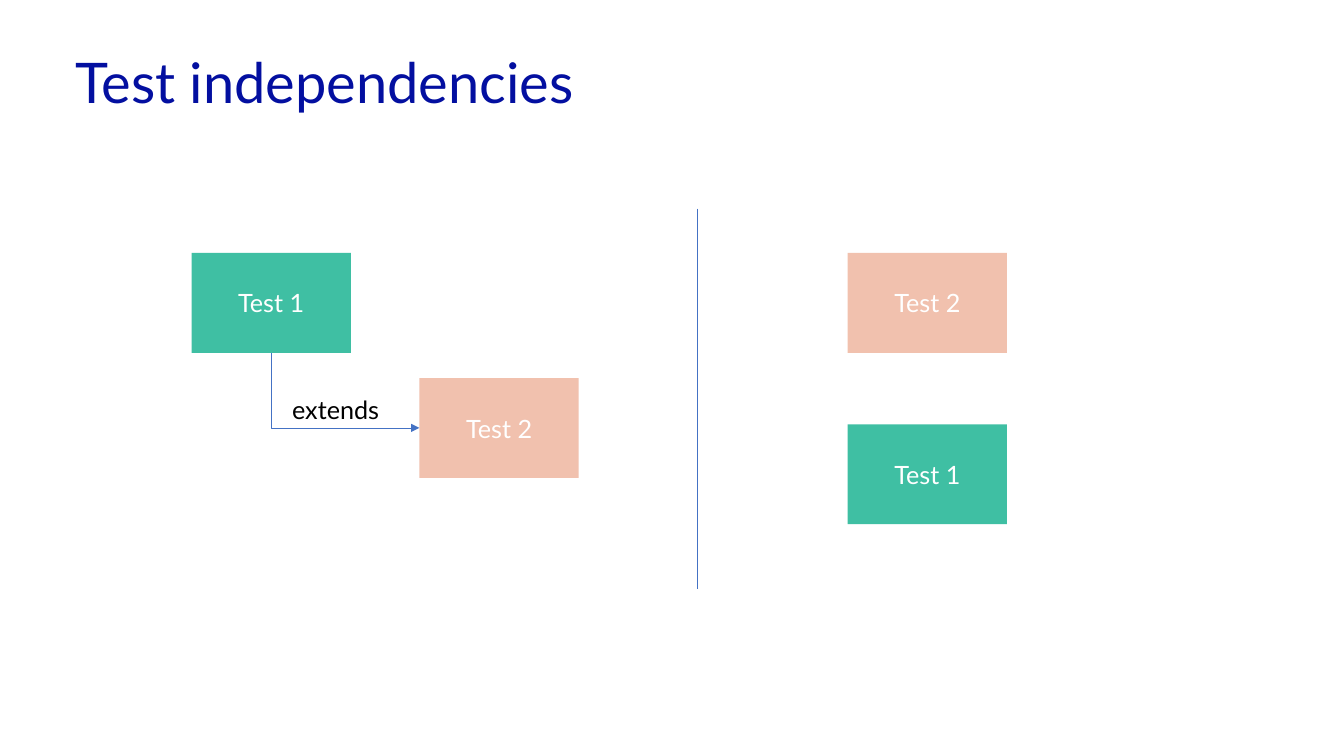
from lxml import etree
from pptx import Presentation
from pptx.dml.color import RGBColor
from pptx.enum.shapes import MSO_CONNECTOR as Connector, MSO_SHAPE as Shape
from pptx.enum.text import MSO_ANCHOR as Anchor, MSO_AUTO_SIZE as AutoSize, PP_ALIGN as Align
from pptx.oxml.ns import qn
from pptx.util import Pt

NAVY = RGBColor(0x03, 0x0F, 0xA0)
GREEN = RGBColor(0x3F, 0xBF, 0xA3)
PEACH = RGBColor(0xF1, 0xC1, 0xAE)
BLUE = RGBColor(0x44, 0x72, 0xC4)
WHITE = RGBColor(0xFF, 0xFF, 0xFF)
BLACK = RGBColor(0x00, 0x00, 0x00)

TEST_WIDTH, TEST_HEIGHT = 113.8, 71.3
TEST_COLORS = {"Test 1": GREEN, "Test 2": PEACH}
BOTTOM_SITE, LEFT_SITE = 2, 1


def place(shape, left, top, width, height):
    box = {"left": left, "top": top, "width": width, "height": height}
    for name, value in box.items():
        setattr(shape, name, Pt(value))


def write(shape, text, size, color, **paragraph_format):
    shape.text_frame.text = text
    paragraph = shape.text_frame.paragraphs[0]
    for name, value in paragraph_format.items():
        setattr(paragraph, name, value)
    font = paragraph.runs[0].font
    for name, value in {"name": "Lato", "size": Pt(size)}.items():
        setattr(font, name, value)
    font.color.rgb = color


def add_title(slide, left, top, width, height):
    title = slide.shapes.title
    place(title, left, top, width, height)
    write(title, "Test independencies", 40, NAVY, alignment=Align.LEFT, line_spacing=0.9)
    frame_format = {"vertical_anchor": Anchor.MIDDLE, "word_wrap": True, "auto_size": AutoSize.NONE}
    for name, value in frame_format.items():
        setattr(title.text_frame, name, value)


def add_test(slide, name, left, top):
    test = slide.shapes.add_shape(
        Shape.RECTANGLE, Pt(left), Pt(top), Pt(TEST_WIDTH), Pt(TEST_HEIGHT))
    test.shadow.inherit = False
    test.fill.solid()
    test.fill.fore_color.rgb = TEST_COLORS[name]
    test.line.fill.background()
    test.text_frame.vertical_anchor = Anchor.MIDDLE
    write(test, name, 18, WHITE, alignment=Align.CENTER)
    return test


def add_line(slide, kind, *ends):
    line = slide.shapes.add_connector(kind, *(Pt(end) for end in ends))
    line.line.color.rgb = BLUE
    line.line.width = Pt(0.5)
    etree.SubElement(line.element.spPr, qn("a:effectLst"))
    return line


def add_elbow_arrow(slide, source, target):
    """Run down from the bottom of source, then right to the left side of target."""
    arrow = add_line(slide, Connector.ELBOW, 0, 0, 0, 0)
    arrow.begin_connect(source, BOTTOM_SITE)
    arrow.end_connect(target, LEFT_SITE)
    left, top = arrow.left.pt, arrow.top.pt
    run, drop = arrow.width.pt, arrow.height.pt
    # A quarter turn swaps the sides of the frame around its centre.
    place(arrow, left + (run - drop) / 2, top + (drop - run) / 2, drop, run)
    properties = arrow.element.spPr
    frame = properties.find(qn("a:xfrm"))
    frame.set("rot", "16200000")
    frame.set("flipH", "1")
    properties.find(qn("a:prstGeom")).set("prst", "bentConnector2")
    etree.SubElement(properties.find(qn("a:ln")), qn("a:tailEnd"), type="triangle")


def add_dependent_tests(slide, left, top):
    first = add_test(slide, "Test 1", left, top)
    second = add_test(slide, "Test 2", left + 162.8, top + 89.3)
    add_elbow_arrow(slide, first, second)
    label = slide.shapes.add_textbox(Pt(left + 64.8), Pt(top + 97.2), Pt(90.7), Pt(29))
    label.text_frame.word_wrap = True
    label.text_frame.auto_size = AutoSize.SHAPE_TO_FIT_TEXT
    write(label, "extends", 18, BLACK)


def add_independent_tests(slide, left, top, pitch):
    for row, name in enumerate(("Test 2", "Test 1")):
        add_test(slide, name, left, top + row * pitch)


def main():
    presentation = Presentation()
    presentation.slide_width, presentation.slide_height = Pt(960), Pt(540)
    slide = presentation.slides.add_slide(presentation.slide_layouts[5])
    add_title(slide, 46.8, 28.8, 828, 64.8)
    add_dependent_tests(slide, 136.8, 180.7)
    add_independent_tests(slide, 605.5, 180.7, 122.4)
    add_line(slide, Connector.STRAIGHT, 498.2, 149, 498.2, 420.5)
    presentation.save("out.pptx")


if __name__ == "__main__":
    main()
